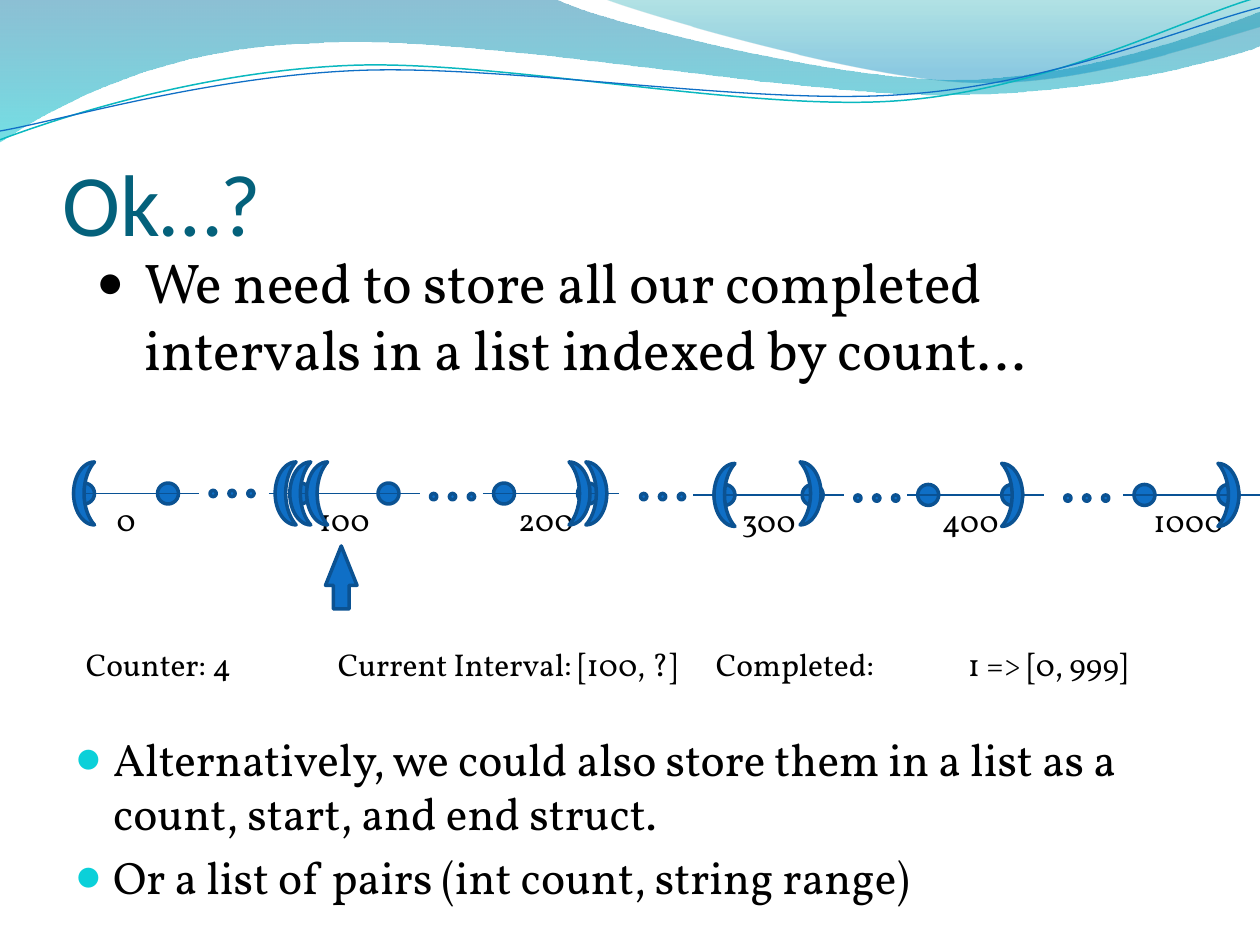
from dataclasses import dataclass

from lxml.etree import SubElement
from pptx import Presentation
from pptx.dml.color import RGBColor
from pptx.enum.shapes import MSO_CONNECTOR, MSO_SHAPE as Shape
from pptx.enum.text import MSO_ANCHOR as Anchor, MSO_AUTO_SIZE as AutoSize, PP_ALIGN as Align
from pptx.oxml.ns import qn
from pptx.util import Emu, Inches, Pt


@dataclass(frozen=True)
class Theme:
    heading_font: str = "Calibri"
    body_font: str = "Vollkorn"
    heading: str = "04617B"
    ink: str = "000000"
    bullet: str = "0BD0D9"
    marker: str = "0F6FC6"
    marker_edge: str = "0B5292"
    axis: str = "095295"
    teal_curve: str = "0AB8BF"
    # Gradient stops: colour, opacity in percent
    wide_wave: tuple = (("0074A1", 45), ("00C6CF", 55))
    right_wave: tuple = (("00A1A9", 30), ("008BBF", 45))
    title_size: int = 50
    statement_size: int = 32
    body_size: int = 26
    label_size: int = 18


class SlideBuilder:
    """Places elements on a grid of 600 columns by 450 rows."""

    COLUMNS = 600

    def __init__(self, presentation, theme):
        self.theme = theme
        self.slide = presentation.slides.add_slide(presentation.slide_layouts[6])
        self.shapes = self.slide.shapes
        self.width = presentation.slide_width

    def grid(self, *lengths):
        return [Emu(round(n * self.width / self.COLUMNS)) for n in lengths]

    def outline(self, start, segments, close):
        """Freeform in percent of the slide's width; one point is a line, three a curve."""
        points = [(x * 100, y * 100) for segment in segments for x, y in segment]
        builder = self.shapes.build_freeform(
            start[0] * 100, start[1] * 100, scale=self.width / 10000)
        builder.add_line_segments(points, close=close)
        shape = builder.convert_to_shape()
        shape.shadow.inherit = False
        strokes = list(shape._element.iter(qn("a:lnTo")))
        for segment in segments:
            first, *rest = [strokes.pop(0) for _ in segment]
            if rest:
                first.tag = qn("a:cubicBezTo")
                for stroke in rest:
                    first.append(stroke[0])
                    stroke.getparent().remove(stroke)
        return shape

    def wave(self, start, segments, stops, end_position=1):
        shape = self.outline(start, segments, True)
        shape.line.fill.background()
        shape.fill.gradient()
        shape.fill.gradient_angle = 270
        for stop, position, (color, opacity) in zip(
                shape.fill.gradient_stops, (0, end_position), stops):
            stop.position = position
            stop.color.rgb = RGBColor.from_string(color)
            rgb = stop._gs.find(qn("a:srgbClr"))
            SubElement(rgb, qn("a:alpha"), val=str(opacity * 1000))

    def curve(self, start, segments, color, weight):
        shape = self.outline(start, segments, False)
        shape.fill.background()
        shape.line.color.rgb = RGBColor.from_string(color)
        shape.line.width = Pt(weight)

    def marker(self, kind, left, top, width, height, flip=False):
        shape = self.shapes.add_shape(kind, *self.grid(left, top, width, height))
        shape.shadow.inherit = False
        shape.fill.solid()
        shape.fill.fore_color.rgb = RGBColor.from_string(self.theme.marker)
        shape.line.color.rgb = RGBColor.from_string(self.theme.marker_edge)
        shape.line.width = Pt(2)
        if flip:
            shape._element.spPr.get_or_add_xfrm().set("flipH", "1")
        return shape

    def axis(self, start, end, row):
        x1, x2, y = self.grid(start, end, row)
        line = self.shapes.add_connector(MSO_CONNECTOR.STRAIGHT, x1, y, x2, y)
        line.line.color.rgb = RGBColor.from_string(self.theme.axis)
        line.line.width = Pt(0.75)
        SubElement(line._element.spPr, qn("a:effectLst"))

    def text(self, lines, left, top, width, height, size, font=None, color=None,
             align=Align.LEFT, bullet=None, indent=0, bullet_color=None, wrap=True, tabs=()):
        box = self.shapes.add_textbox(*self.grid(left, top, width, height))
        frame = box.text_frame
        frame.word_wrap = wrap
        frame.auto_size = AutoSize.NONE
        frame.text = "\n".join(lines)
        for i, paragraph in enumerate(frame.paragraphs):
            paragraph.alignment = align
            if i:
                paragraph.space_before = Pt(round(size * 0.2, 1))
            if bullet:
                self.add_bullet(paragraph, bullet, indent, bullet_color)
            if tabs:
                stops = SubElement(paragraph._p.get_or_add_pPr(), qn("a:tabLst"))
                for position in self.grid(*tabs):
                    SubElement(stops, qn("a:tab"), pos=str(position), algn="l")
            paragraph.font.size = Pt(size)
            paragraph.font.name = font or self.theme.body_font
            paragraph.font.color.rgb = RGBColor.from_string(color or self.theme.ink)
        return frame

    def add_bullet(self, paragraph, character, indent, color):
        props = paragraph._p.get_or_add_pPr()
        props.set("marL", str(Inches(indent)))
        props.set("indent", str(-Inches(indent)))
        if color:
            SubElement(SubElement(props, qn("a:buClr")), qn("a:srgbClr"), val=color)
            SubElement(props, qn("a:buSzPct"), val="95000")
        SubElement(props, qn("a:buFont"), typeface=self.theme.heading_font)
        SubElement(props, qn("a:buChar"), char=character)


def draw_waves(page):
    theme = page.theme
    page.wave((0, 0), [
        [(44, -0.1)],
        [(47.6, 1.7), (66.4, 6.3), (75.8, 6.3)],
        [(85.3, 6.3), (95.8, 2.6), (100, 0.9)],
        [(100.1, 3.6)],
        [(98.3, 4.4), (87, 7.6), (74.6, 7.5)],
        [(62.2, 7.5), (38.2, 2.8), (25.7, 3.4)],
        [(12.9, 3.6), (4.6, 8.3), (-0.1, 11.3)],
        [(0, 0)]], theme.wide_wave)
    page.wave((47.9, -0.1), [
        [(50.9, 1.1), (68.2, 6.2), (76.9, 6.5)],
        [(85.6, 6.9), (96.1, 3.2), (100, 2.1)],
        [(100, 0)],
        [(47.9, -0.1)]], theme.right_wave, 0.8)
    page.curve((0, 11.1), [
        [(4.8, 9.3), (15.8, 5.7), (27.7, 5.2)],
        [(39.5, 4.7), (59.3, 8.9), (71.3, 8)],
        [(83.3, 7.1), (93.8, 1.5), (99.8, -0.2)]], theme.teal_curve, 0.85)
    page.curve((0, 10.4), [
        [(4.7, 9.6), (16.4, 6.1), (28.3, 5.6)],
        [(40.3, 5.1), (59.7, 8.4), (71.7, 7.5)],
        [(83.6, 6.7), (94.1, 2.1), (100, 0.6)]], theme.marker, 0.75)


def draw_number_line(page):
    # Segments: label, axis start and end, two points, label left and width, row
    segments = [
        ("0", 40, 95, (35, 75), 40, 40, 235),
        ("100", 128, 200, (138, 180), 143, 42, 235),
        ("200", 230, 295, (235, 275), 240, 40, 235),
        ("300", 330, 402, (340, 382), 345, 42, 235.7),
        ("400", 432, 497, (437, 477), 442, 40, 235.7),
        ("1000", 535, 600, (540, 580), 541, 50, 235.7),
    ]
    for label, start, end, points, left, width, row in segments:
        for point in points:
            page.marker(Shape.OVAL, point, row - 5, 10, 10)
        page.text([label], left, row, width, 24, page.theme.label_size, align=Align.CENTER)
        page.axis(start, end, row)

    # Ellipses between segments
    for start, top in ((100, 233.5), (205, 235), (305, 235), (407, 235.7), (507, 235.7)):
        for i in range(3):
            page.marker(Shape.OVAL, start + 9 * i, top, 3, 3)

    # Interval brackets: left, top, whether closing
    brackets = [(35, 220, False), (138, 220, False), (340, 220.7, False),
                (477, 220.7, True), (580, 220.7, True), (146, 220, False),
                (131, 220, False), (279, 220, True), (271, 220, True), (381, 220, True)]
    for left, top, closing in brackets:
        page.marker(Shape.MOON, left, top, 10, 30, flip=closing)

    # Current position
    pointer = page.marker(Shape.UP_ARROW, 155, 260, 15, 30)
    pointer.adjustments[1] = 1.25


def main():
    presentation = Presentation()
    presentation.slide_width, presentation.slide_height = Inches(10), Inches(7.5)
    theme = Theme()
    page = SlideBuilder(presentation, theme)

    draw_waves(page)

    # Title
    title = page.text(["Ok…?"], 30, 46, 540, 75, theme.title_size,
                      theme.heading_font, theme.heading)
    title.vertical_anchor = Anchor.BOTTOM
    title.margin_left = title.margin_right = title.margin_bottom = 0

    # Alternatives
    page.text(["Alternatively, we could also store them in a list as a count, start, and end struct.",
               "Or a list of pairs (int count, string range)"],
              30, 345, 540, 85, theme.body_size,
              bullet="●", indent=0.3, bullet_color=theme.bullet)

    draw_number_line(page)

    # State of the count
    page.text(["Counter: 4\tCurrent Interval: [100, ?]\tCompleted:\t1 => [0, 999]"],
              35, 304, 513, 24, theme.label_size, wrap=False, tabs=(120, 300, 420))

    # Statement
    page.text(["We need to store all our completed intervals in a list indexed by count…"],
              40, 115, 540, 85, theme.statement_size, bullet="•", indent=0.38)

    presentation.save("out.pptx")


if __name__ == "__main__":
    main()
